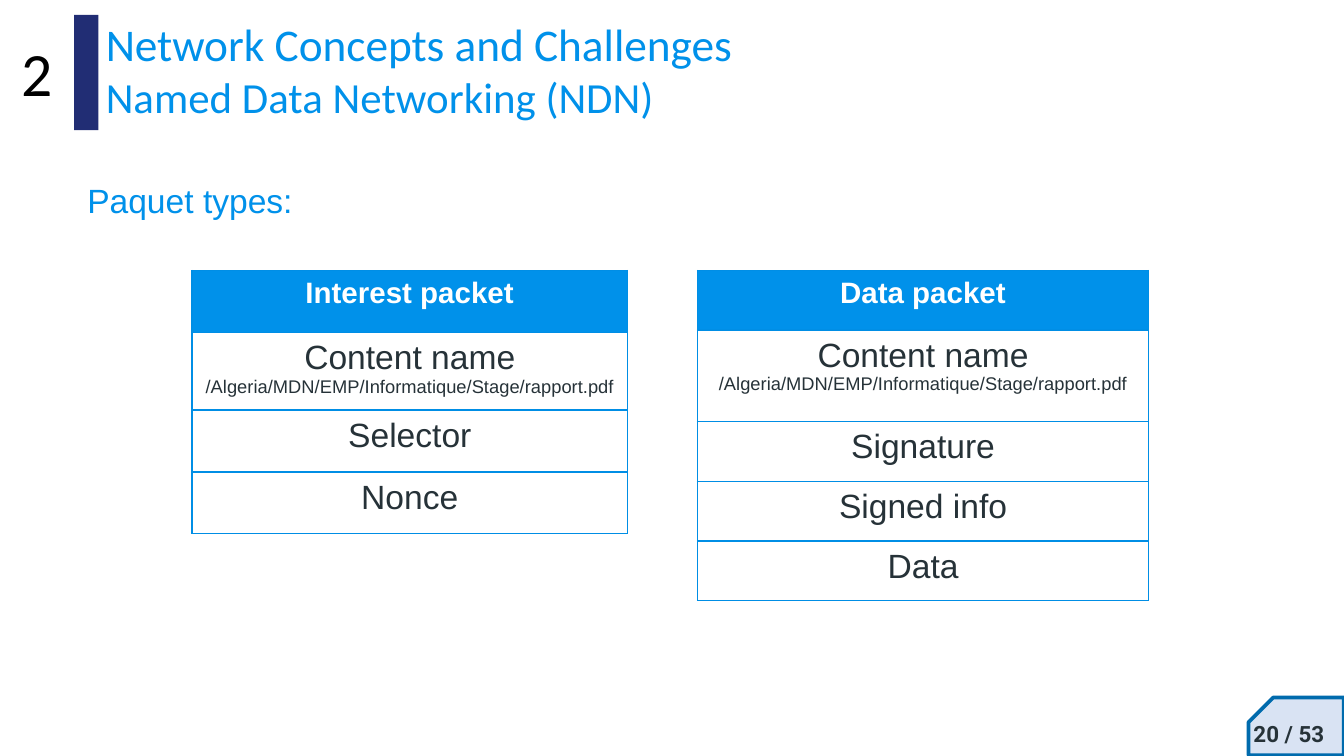
from dataclasses import dataclass

from lxml import etree
from pptx import Presentation
from pptx.dml.color import RGBColor
from pptx.enum.shapes import MSO_SHAPE
from pptx.enum.text import PP_ALIGN
from pptx.oxml.ns import qn
from pptx.util import Cm, Pt

RECT, SNIPPED = MSO_SHAPE.RECTANGLE, MSO_SHAPE.SNIP_1_RECTANGLE
LEFT, CENTER = PP_ALIGN.LEFT, PP_ALIGN.CENTER
BLUE, BORDER, NAVY, DARK = "0091EA", "008EE5", "212D74", "263238"
CONTENT_NAME = "/Algeria/MDN/EMP/Informatique/Stage/rapport.pdf"


@dataclass
class Box:
    left: float
    top: float
    width: float
    height: float

    def lengths(self) -> tuple:
        return Cm(self.left), Cm(self.top), Cm(self.width), Cm(self.height)


@dataclass
class Line:
    text: str
    size: float
    color: str = DARK
    font: str = "Arial"
    bold: bool = False
    align: PP_ALIGN = CENTER


@dataclass
class Packet:
    left: float
    width: float
    row_height: float
    name_height: float
    title: str
    fields: list[str]


def rgb(color: str) -> RGBColor:
    return RGBColor.from_string(color)


def write(tf, lines: list[Line]) -> None:
    for i, line in enumerate(lines):
        p = tf.add_paragraph() if i else tf.paragraphs[0]
        p.text, p.alignment = line.text, line.align
        p.font.name, p.font.size = line.font, Pt(line.size)
        p.font.bold, p.font.color.rgb = line.bold, rgb(line.color)


def add_text(s, box: Box, lines: list[Line], inset_top: float = 0.13) -> None:
    tf = s.shapes.add_textbox(*box.lengths()).text_frame
    tf.word_wrap = True
    tf.margin_top = Cm(inset_top)
    write(tf, lines)


def add_shape(s, kind: MSO_SHAPE, box: Box, fill: str):
    sp = s.shapes.add_shape(kind, *box.lengths())
    sp.shadow.inherit = False
    sp.fill.solid()
    sp.fill.fore_color.rgb = rgb(fill)
    sp.line.fill.background()
    return sp


def add_borders(cell) -> None:
    tc_pr = cell._tc.get_or_add_tcPr()
    for i, side in enumerate(("lnL", "lnR", "lnT", "lnB")):
        ln = etree.Element(qn(f"a:{side}"), w=str(Pt(0.75)))
        fill = etree.SubElement(ln, qn("a:solidFill"))
        etree.SubElement(fill, qn("a:srgbClr"), val=BORDER)
        tc_pr.insert(i, ln)


def add_packet(s, packet: Packet) -> None:
    rows = [
        [Line(packet.title, 15.8, "FFFFFF", bold=True)],
        [Line("Content name", 18), Line(CONTENT_NAME, 9.8)],
        *([Line(field, 18)] for field in packet.fields),
    ]
    heights = [packet.row_height] * len(rows)
    heights[1] = packet.name_height
    box = Box(packet.left, 5.11, packet.width, sum(heights))
    table = s.shapes.add_table(len(rows), 1, *box.lengths()).table
    table.horz_banding = False
    for i, (lines, height) in enumerate(zip(rows, heights)):
        table.rows[i].height = Cm(height)
        cell = table.cell(i, 0)
        cell.fill.solid()
        cell.fill.fore_color.rgb = rgb("FFFFFF" if i else BLUE)
        add_borders(cell)
        write(cell.text_frame, lines)


def main() -> None:
    prs = Presentation()
    prs.slide_width, prs.slide_height = Cm(25.4), Cm(14.29)
    s = prs.slides.add_slide(prs.slide_layouts[6])

    # Page number on its snipped corner
    corner = add_shape(s, SNIPPED, Box(23.95, 12.83, 1.09, 1.8), "D9E3F3")
    corner.adjustments[0] = 0.43
    corner.rotation = 270
    corner.line.color.rgb = rgb("006BAD")
    corner.line.width = Pt(2)
    add_text(s, Box(23.32, 13.36, 2.08, 0.76),
             [Line("20 / 53", 12, font="Roboto", bold=True)], 0.25)

    # Packet tables
    add_packet(s, Packet(3.63, 8.23, 1.17, 1.47, "Interest packet",
                         ["Selector", "Nonce"]))
    add_packet(s, Packet(13.18, 8.53, 1.13, 1.73, "Data packet",
                         ["Signature", "Signed info", "Data"]))

    # Heading: section number, bar and title
    add_shape(s, RECT, Box(1.4, 0.28, 0.46, 2.18), NAVY)
    add_text(s, Box(1.75, 0.25, 21.84, 3.3), [
        Line("Network Concepts and Challenges", 24.3, BLUE, "Calibri", align=LEFT),
        Line("Named Data Networking (NDN)", 23, BLUE, "Calibri", align=LEFT),
    ], 0.05)
    add_text(s, Box(0, 0.53, 1.4, 1.68), [Line("2", 33, "000000", "Calibri")])

    # Subheading
    add_text(s, Box(1.4, 3.28, 8.46, 1.02),
             [Line("Paquet types:", 18, BLUE, align=LEFT)])

    prs.save("out.pptx")


if __name__ == "__main__":
    main()
